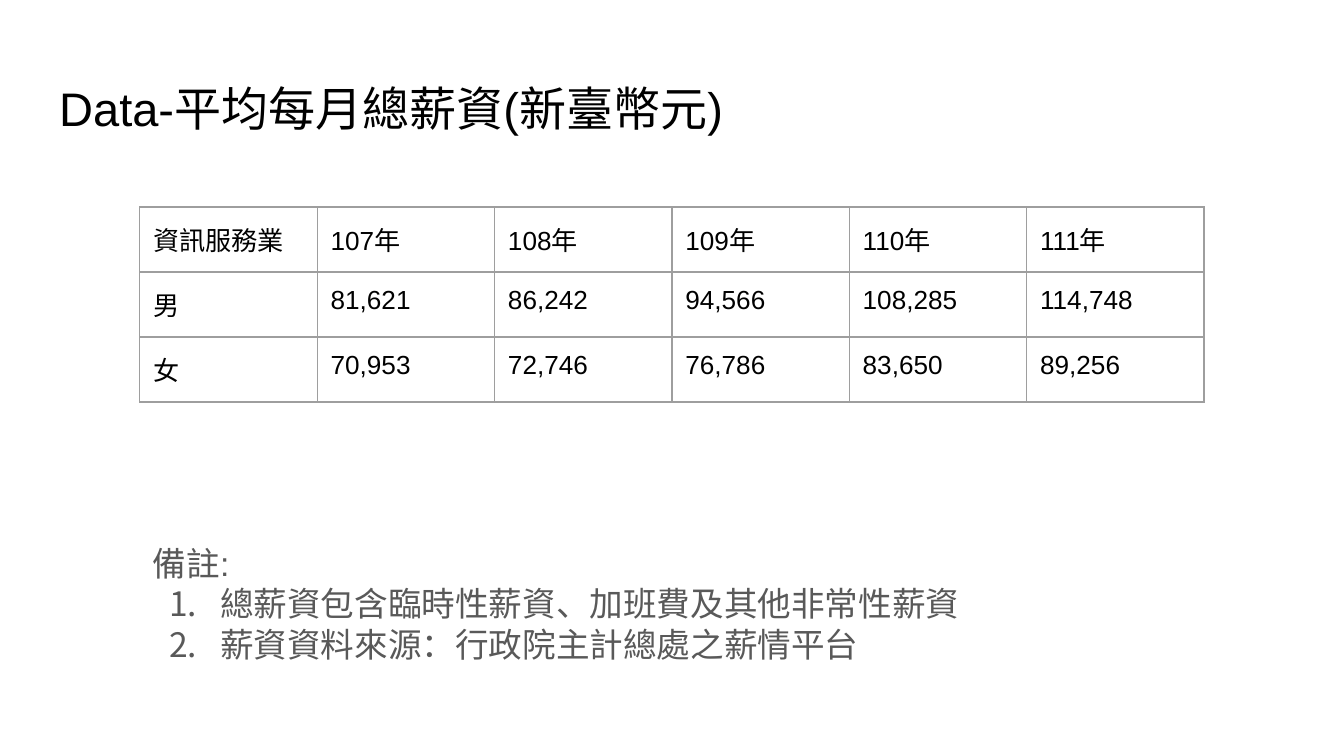
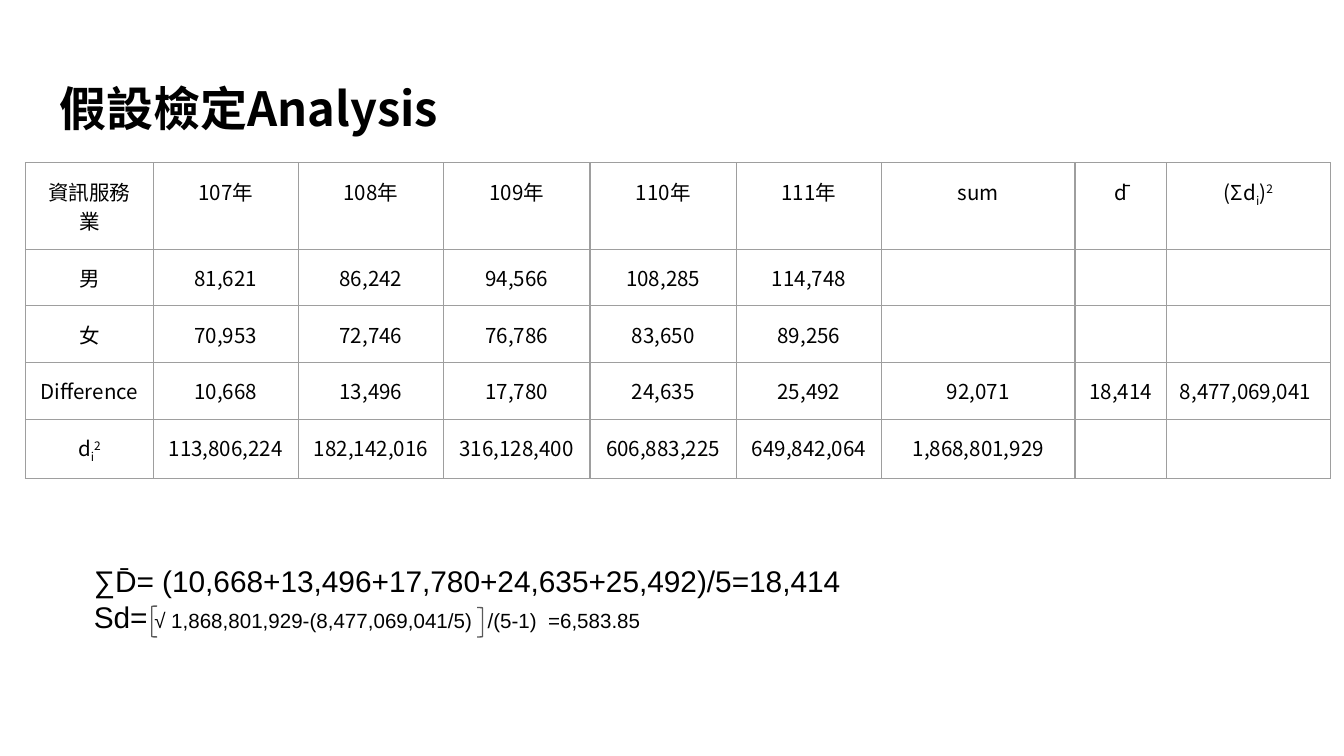
from dataclasses import dataclass
from typing import Union

import pptx
import pptx.enum.shapes
import pptx.enum.text
import pptx.oxml
import pptx.oxml.ns
import pptx.presentation
import pptx.slide
import pptx.table
import pptx.text.text
import pptx.util
from pptx.dml.color import RGBColor
from pptx.enum.text import MSO_ANCHOR, MSO_AUTO_SIZE, PP_ALIGN
from pptx.util import Inches

BLACK = RGBColor(0x00, 0x00, 0x00)
GRAY = RGBColor(0x59, 0x59, 0x59)
BORDER_GRAY = RGBColor(0x9E, 0x9E, 0x9E)
WHITE = RGBColor(0xFF, 0xFF, 0xFF)
ARIAL = "Arial"
NOTO = "Noto Sans CJK TC"
MARGIN = Inches(0.1)
LINE_WIDTH = pptx.util.Pt(0.75)

YEARS = ["107年", "108年", "109年", "110年", "111年"]
MEN = [81621, 86242, 94566, 108285, 114748]
WOMEN = [70953, 72746, 76786, 83650, 89256]
DIFFERENCES = [man - woman for man, woman in zip(MEN, WOMEN)]
SQUARES = [difference ** 2 for difference in DIFFERENCES]


@dataclass(frozen=True)
class Span:
    text: str
    baseline: int = 0


@dataclass(frozen=True)
class Style:
    size: float
    font: str = ARIAL
    color: RGBColor = BLACK
    bold: bool = False
    alignment: PP_ALIGN = PP_ALIGN.LEFT


@dataclass(frozen=True)
class Box:
    left: float
    top: float
    width: float
    height: float

    def lengths(self) -> tuple:
        return tuple(Inches(n) for n in (self.left, self.top, self.width, self.height))


@dataclass(frozen=True)
class Bracket:
    kind: pptx.enum.shapes.MSO_SHAPE
    box: Box


CellText = Union[str, tuple]
SUBSCRIPT_I = Span("i", -25)
SQUARED = Span("2", 30)
TITLE_BOX = Box(0.34, 0.49, 9.32, 0.63)


def drawing_element(tag: str, attributes: str = "", content: str = ""):
    namespace = pptx.oxml.ns.nsdecls("a")
    return pptx.oxml.parse_xml(f"<a:{tag} {namespace} {attributes}>{content}</a:{tag}>")


def numbers(values: list) -> list:
    return [f"{value:,}" for value in values]


def format_paragraph(paragraph: pptx.text.text._Paragraph, style: Style) -> None:
    font = paragraph.font
    font.size = pptx.util.Pt(style.size)
    font.name = style.font
    font.bold = style.bold
    font.color.rgb = style.color
    font._element.append(drawing_element("ea", f'typeface="{NOTO}"'))
    paragraph.alignment = style.alignment


def set_margins(frame) -> None:
    frame.margin_left = frame.margin_right = MARGIN
    frame.margin_top = frame.margin_bottom = MARGIN


def add_title(presentation: pptx.presentation.Presentation, text: str,
              style: Style) -> pptx.slide.Slide:
    slide = presentation.slides.add_slide(presentation.slide_layouts[5])
    slide.background.fill.solid()
    slide.background.fill.fore_color.rgb = WHITE
    title = slide.shapes.title
    title.left, title.top, title.width, title.height = TITLE_BOX.lengths()
    frame = title.text_frame
    frame.text = text
    frame.word_wrap = True
    frame.auto_size = MSO_AUTO_SIZE.NONE
    frame.vertical_anchor = MSO_ANCHOR.TOP
    set_margins(frame)
    format_paragraph(frame.paragraphs[0], style)
    return slide


def add_text(slide: pptx.slide.Slide, box: Box, lines: list, style: Style) -> list:
    frame = slide.shapes.add_textbox(*box.lengths()).text_frame
    frame.word_wrap = True
    frame.auto_size = MSO_AUTO_SIZE.SHAPE_TO_FIT_TEXT
    set_margins(frame)
    frame.text = "\n".join(lines)
    for paragraph in frame.paragraphs:
        format_paragraph(paragraph, style)
    return list(frame.paragraphs)


def number_paragraph(paragraph: pptx.text.text._Paragraph, color: RGBColor) -> None:
    properties = paragraph._p.get_or_add_pPr()
    properties.set("marL", str(Inches(0.5)))
    properties.set("indent", str(-Inches(0.38)))
    numbering = [
        drawing_element("buClr", content=f'<a:srgbClr val="{color}"/>'),
        drawing_element("buFont", f'typeface="{NOTO}"'),
        drawing_element("buAutoNum", 'type="arabicPeriod"'),
    ]
    for index, part in enumerate(numbering):
        properties.insert(index, part)


def set_tabs(paragraph: pptx.text.text._Paragraph, positions: list) -> None:
    stops = "".join(f'<a:tab pos="{Inches(position)}" algn="l"/>' for position in positions)
    paragraph._p.get_or_add_pPr().insert(0, drawing_element("tabLst", content=stops))


def fill_cell(cell: pptx.table._Cell, text: CellText, style: Style) -> None:
    set_margins(cell)
    cell.fill.background()
    line = f'<a:solidFill><a:srgbClr val="{BORDER_GRAY}"/></a:solidFill>'
    for index, side in enumerate(("lnL", "lnR", "lnT", "lnB")):
        border = drawing_element(side, f'w="{LINE_WIDTH}"', line)
        cell._tc.get_or_add_tcPr().insert(index, border)
    paragraph = cell.text_frame.paragraphs[0]
    for span in (Span(text),) if isinstance(text, str) else text:
        if span.text:
            run = paragraph.add_run()
            run.text = span.text
            if span.baseline:
                run.font._element.set("baseline", str(span.baseline * 1000))
    format_paragraph(paragraph, style)


def add_grid(slide: pptx.slide.Slide, box: Box, rows: list, widths: list,
             heights: list, style: Style) -> pptx.table.Table:
    table = slide.shapes.add_table(len(rows), len(widths), *box.lengths()).table
    table.first_row = table.horz_banding = False
    for column, width in zip(table.columns, widths):
        column.width = Inches(width)
    for row, height, texts in zip(table.rows, heights, rows):
        row.height = Inches(height)
        for cell, text in zip(row.cells, texts):
            fill_cell(cell, text, style)
    return table


def add_bracket(slide: pptx.slide.Slide, bracket: Bracket) -> None:
    shape = slide.shapes.add_shape(bracket.kind, *bracket.box.lengths())
    shape.shadow.inherit = False
    shape.adjustments[0] = 0.08
    shape.fill.background()
    shape.line.color.rgb = GRAY
    shape.line.width = LINE_WIDTH


def build_data_slide(presentation: pptx.presentation.Presentation) -> None:
    slide = add_title(presentation, "Data-平均每月總薪資(新臺幣元)", Style(25.2))
    rows = [["資訊服務業", *YEARS], ["男", *numbers(MEN)], ["女", *numbers(WOMEN)]]
    add_grid(slide, Box(1.04, 1.54, 7.92, 1.26), rows, [1.32] * 6, [0.42] * 3, Style(14))
    notes = ["備註:", "總薪資包含臨時性薪資、加班費及其他非常性薪資",
             "薪資資料來源：行政院主計總處之薪情平台"]
    paragraphs = add_text(slide, Box(1.04, 3.94, 8.97, 1.11), notes, Style(18, color=GRAY))
    for paragraph in paragraphs[1:]:
        number_paragraph(paragraph, GRAY)


def build_analysis_slide(presentation: pptx.presentation.Presentation) -> None:
    slide = add_title(presentation, "假設檢定Analysis", Style(25.2, NOTO, bold=True))
    total = sum(DIFFERENCES)
    mean = round(total / len(YEARS))
    rows = [
        ["資訊服務業", *YEARS, "sum", "d̄", (Span("(Σd"), SUBSCRIPT_I, Span(")"), SQUARED)],
        ["男", *numbers(MEN), "", "", ""],
        ["女", *numbers(WOMEN), "", "", ""],
        ["Difference", *numbers(DIFFERENCES + [total, mean, total ** 2])],
        [(Span("d"), SUBSCRIPT_I, SQUARED), *numbers(SQUARES + [sum(SQUARES)]), "", ""],
    ]
    table = add_grid(slide, Box(0.19, 1.21, 9.71, 2.04), rows,
                     [0.95, 1.08, 1.08, 1.09, 1.09, 1.08, 1.44, 0.68, 1.22],
                     [0.43, 0.42, 0.38, 0.38, 0.43],
                     Style(11, NOTO, alignment=PP_ALIGN.CENTER))
    table.cell(3, 8).text_frame.paragraphs[0].alignment = PP_ALIGN.LEFT

    formulas = ["∑D̄= (10,668+13,496+17,780+24,635+25,492)/5=18,414", "Sd="]
    deviation = add_text(slide, Box(0.6, 4.09, 8.8, 0.74), formulas, Style(16))[1]
    run = deviation.add_run()
    run.text = "\t√ 1,868,801,929-(8,477,069,041/5)\t/(5-1)\t=6,583.85"
    run.font.size = pptx.util.Pt(11)
    set_tabs(deviation, [0.45, 2.93, 3.38])
    shapes = pptx.enum.shapes.MSO_SHAPE
    for bracket in (Bracket(shapes.LEFT_BRACKET, Box(1.13, 4.51, 0.04, 0.23)),
                    Bracket(shapes.RIGHT_BRACKET, Box(3.55, 4.52, 0.04, 0.22))):
        add_bracket(slide, bracket)


def main() -> None:
    presentation = pptx.Presentation()
    presentation.slide_width = Inches(10)
    presentation.slide_height = presentation.slide_width * 9 // 16
    build_data_slide(presentation)
    build_analysis_slide(presentation)
    presentation.save("out.pptx")


if __name__ == "__main__":
    main()
